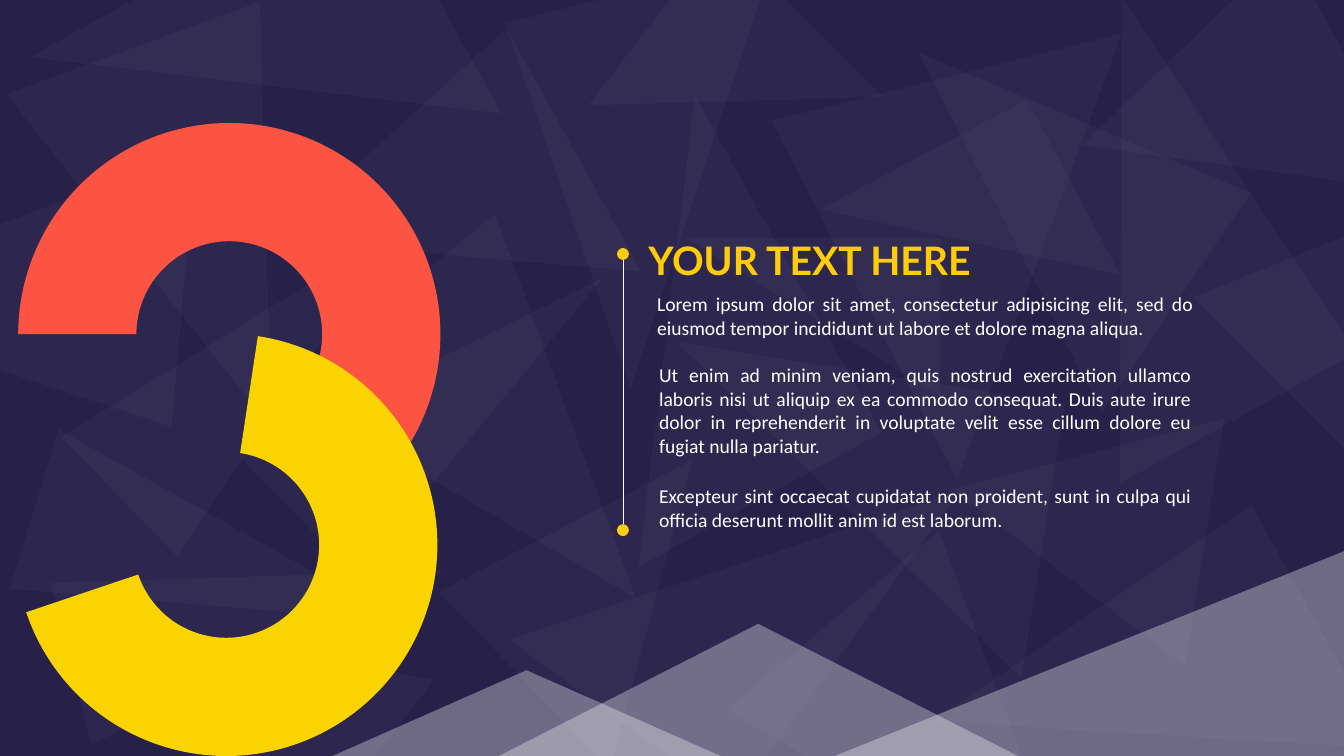
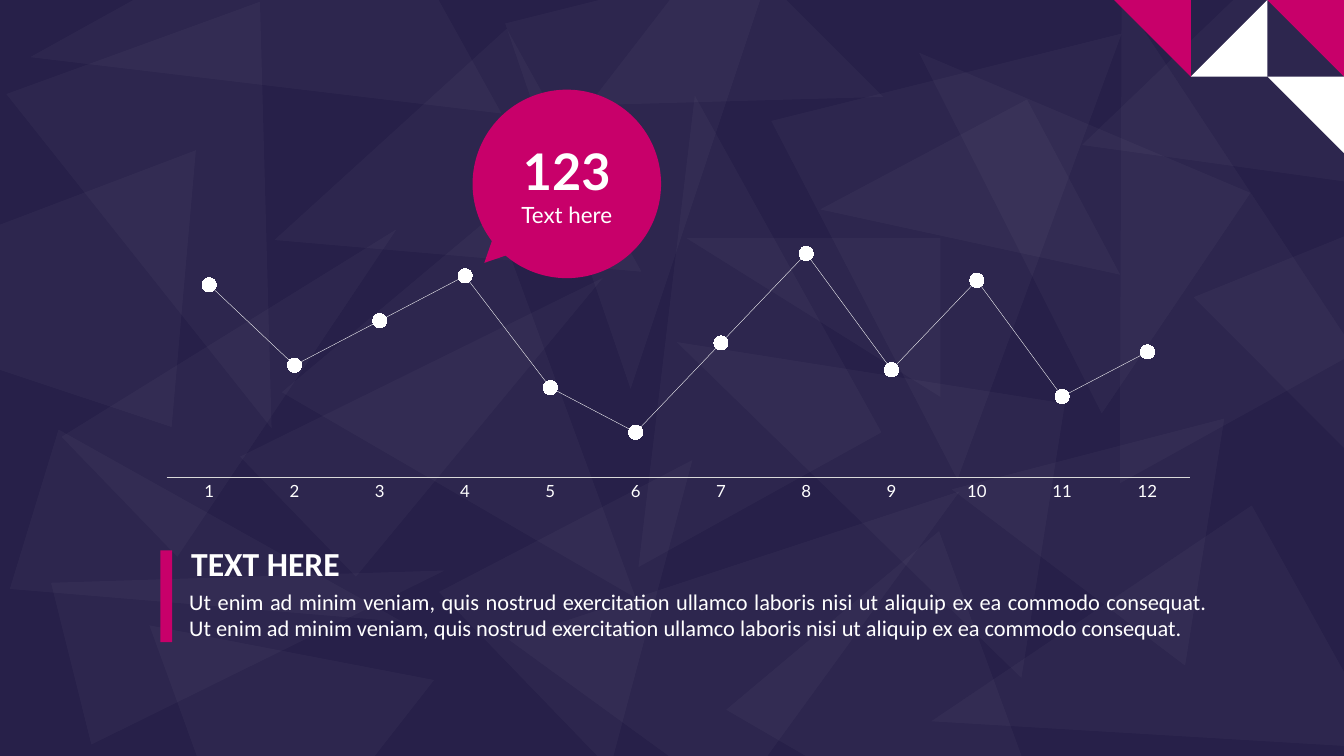
"""Build a two-slide deck: a section opener with a large 3 and a line chart with a callout."""
from lxml import etree
from pptx import Presentation
from pptx.chart.data import CategoryChartData
from pptx.dml.color import RGBColor
from pptx.enum.chart import XL_CHART_TYPE, XL_MARKER_STYLE, XL_TICK_MARK
from pptx.enum.shapes import MSO_CONNECTOR, MSO_SHAPE
from pptx.enum.text import MSO_ANCHOR, PP_ALIGN
from pptx.oxml.ns import qn
from pptx.util import Cm, Pt

TRIANGLE = MSO_SHAPE.ISOSCELES_TRIANGLE
CORNER = MSO_SHAPE.RIGHT_TRIANGLE
ARC = MSO_SHAPE.BLOCK_ARC
OVAL = MSO_SHAPE.OVAL
BAR = MSO_SHAPE.RECTANGLE
STRAIGHT = MSO_CONNECTOR.STRAIGHT
LINE_CHART = XL_CHART_TYPE.LINE_MARKERS
CIRCLE = XL_MARKER_STYLE.CIRCLE
NO_TICKS = XL_TICK_MARK.NONE
MIDDLE = MSO_ANCHOR.MIDDLE
LEFT, CENTER, JUSTIFY = PP_ALIGN.LEFT, PP_ALIGN.CENTER, PP_ALIGN.JUSTIFY

NAVY, WHITE, GREY = "272049", "FFFFFF", "D9D9D9"
RED, YELLOW, AMBER, PINK = "FB5442", "FAD302", "FFCC0B", "C8006A"
WIDTH, HEIGHT = 33.87, 19.05
SHARD_OPACITY, PEAK_OPACITY = 3, 33
WIDE_INSETS, TIGHT_INSETS = (0.25, 0.13), (0.2, 0.1)

SECTION_TITLE = {"name": "Lato", "size": Pt(28), "bold": True}
SECTION_BODY = {"name": "Calibri", "size": Pt(14)}
CHART_TITLE = {"name": "Calibri", "size": Pt(24), "bold": True}
CHART_BODY = {"name": "Calibri", "size": Pt(16)}
CALLOUT_NUMBER = {"name": "Lato", "size": Pt(36), "bold": True}
CALLOUT_LABEL = {"name": "Lato", "size": Pt(16), "bold": False}
AXIS_LABEL = {"name": "Lato", "size": Pt(12)}


def add_form(page, kind, frame, color, opacity=100, angle=0, adjustments=()):
    """Add a flat filled shape; frame is left, top, width and height in cm."""
    form = page.shapes.add_shape(kind, *map(Cm, frame))
    form.shadow.inherit = False
    form.rotation = angle
    for index, value in enumerate(adjustments):
        form.adjustments[index] = value
    form.fill.solid()
    form.fill.fore_color.rgb = RGBColor.from_string(color)
    form.line.fill.background()
    if opacity < 100:
        tint = form.element.find(".//" + qn("a:srgbClr"))
        etree.SubElement(tint, qn("a:alpha"), val=str(opacity * 1000))
    return form


def write_text(holder, lines, color, align, wrap=False, after=0, insets=WIDE_INSETS):
    """Write (text, format) lines into a shape, one paragraph each."""
    frame = holder.text_frame
    frame.word_wrap = wrap
    frame.margin_left = frame.margin_right = Cm(insets[0])
    frame.margin_top = frame.margin_bottom = Cm(insets[1])
    for index, (text, style) in enumerate(lines):
        para = frame.paragraphs[0] if index == 0 else frame.add_paragraph()
        para.alignment = align
        para.space_after = Pt(after)
        span = para.add_run()
        span.text = text
        span.font.color.rgb = RGBColor.from_string(color)
        for name, value in style.items():
            setattr(span.font, name, value)


deck = Presentation()
deck.slide_width, deck.slide_height = Cm(WIDTH), Cm(HEIGHT)
layout = deck.slide_layouts[6]
for placeholder in list(layout.placeholders):
    layout.shapes.element.remove(placeholder.element)
layout.background.fill.solid()
layout.background.fill.fore_color.rgb = RGBColor.from_string(NAVY)
section_page = deck.slides.add_slide(layout)
chart_page = deck.slides.add_slide(layout)

# Each apex position along the base owns its shards: size, left, top, angle.
slim, broad = (4.2, 9.7), (7, 9.7)
left_edge, left_third, centre, near_centre = 0, 0.33, 0.5, 0.55
right_third, near_right, right_edge = 0.74, 0.88, 1
shards_by_apex = {
    left_edge: [((5.9, 5), 21.5, 3.6, 152)],
    left_third: [((6.2, 6.9), 12.6, 11.3, 46), (broad, -3.7, 2, 275)],
    centre: [(slim, 3.4, 9.4, 107), (slim, 4.4, 10.7, 76), (slim, 4.4, 4.3, 46),
             (broad, 9.4, 6.5, 140), (broad, 20.6, 14.5, 140),
             ((6.8, 10.2), 1.7, 0.9, 160), ((8.2, 9.7), 31.6, 5.6, 158)],
    near_centre: [((6.3, 6.5), 24, 9.9, 279), ((7.4, 6.5), 2.4, 14.8, 308)],
    right_third: [(slim, 8.9, 4.8, 46), ((9.1, 9.9), 20.5, 1.8, 166),
                  ((7, 7.7), 7.6, 1.8, 241), ((7, 6.9), 27.6, 0, 241),
                  ((6.7, 8.9), 22.6, 0.7, 304)],
    near_right: [(broad, 13.8, -0.4, 166), (broad, 25.5, 13.3, 241),
                 ((6.8, 10.7), 25.2, 0.5, 331), ((5.8, 5.4), 15.4, -0.4, 225)],
    right_edge: [(broad, 15, 9.4, 36), (broad, 13.3, 3.5, 331), (broad, 3.2, -2.7, 241),
                 ((7, 9.9), 17.9, 7.9, 279), ((4, 6.4), 18.5, 4.8, 270)],
}
shard_forms = [
    add_form(section_page, TRIANGLE, (left, top, *size), WHITE, SHARD_OPACITY, angle, [apex])
    for apex, shards in shards_by_apex.items()
    for size, left, top, angle in shards
]
for form in shard_forms:
    layout.shapes.element.append(form.element)

ring = 10.64
upper_arc, lower_arc = (108, 21.07, 0.28), (101.94, 31.61, 0.28)
for left, top, color, angle, sweep in [(0.46, 3.1, RED, 0, upper_arc),
                                       (0.38, HEIGHT - ring, YELLOW, 108.7, lower_arc)]:
    add_form(section_page, ARC, (left, top, ring, ring), color, angle=angle, adjustments=sweep)

title = section_page.shapes.add_textbox(Cm(16.08), Cm(5.82), Cm(8.64), Cm(1.45))
write_text(title, [("YOUR TEXT HERE", SECTION_TITLE)], AMBER, CENTER)

passages = [
    (7.26, 1.37, TIGHT_INSETS, "Lorem ipsum dolor sit amet, consectetur adipisicing elit, sed do "
     "eiusmod tempor incididunt ut labore et dolore magna aliqua."),
    (9.02, 2.64, WIDE_INSETS, "Ut enim ad minim veniam, quis nostrud exercitation ullamco laboris "
     "nisi ut aliquip ex ea commodo consequat. Duis aute irure dolor in reprehenderit in "
     "voluptate velit esse cillum dolore eu fugiat nulla pariatur."),
    (12.07, 1.45, WIDE_INSETS, "Excepteur sint occaecat cupidatat non proident, sunt in culpa qui "
     "officia deserunt mollit anim id est laborum."),
]
for top, height, insets, text in passages:
    box = section_page.shapes.add_textbox(Cm(16.36), Cm(top), Cm(13.92), Cm(height))
    write_text(box, [(text, SECTION_BODY)], WHITE, JUSTIFY, True, 6, insets)

rule_x, rule_top, rule_bottom, dot = 15.7, 6.25, 13.21, 0.3
rule = section_page.shapes.add_connector(
    STRAIGHT, Cm(rule_x), Cm(rule_top), Cm(rule_x), Cm(rule_bottom))
rule.line.color.rgb = RGBColor.from_string(WHITE)
rule.line.width = Pt(0.5)
etree.SubElement(rule.element.spPr, qn("a:effectLst"))
for top in (rule_top, rule_bottom):
    add_form(section_page, OVAL, (rule_x - dot / 2, top, dot, dot), AMBER)

last_peak = 12.83
for left, width, height, apex in [(8.38, 9.78, 2.16, centre), (12.57, 13.08, 3.33, centre),
                                  (WIDTH - last_peak, last_peak, 5.16, right_edge)]:
    add_form(section_page, TRIANGLE, (left, HEIGHT - height, width, height), WHITE,
             PEAK_OPACITY, adjustments=[apex])

text_left = 4.57
sentence = ("Ut enim ad minim veniam, quis nostrud exercitation ullamco laboris nisi ut aliquip "
            "ex ea commodo consequat.")
body = chart_page.shapes.add_textbox(Cm(text_left), Cm(14.71), Cm(26.06), Cm(1.55))
write_text(body, [(f"{sentence} {sentence}", CHART_BODY)], WHITE, JUSTIFY, True, 6, TIGHT_INSETS)

values = (86, 50, 70, 90, 40, 20, 60, 100, 48, 88, 36, 56)
chart_data = CategoryChartData()
chart_data.categories = [str(number) for number in range(1, len(values) + 1)]
chart_data.add_series("Series 1", values)
chart = chart_page.shapes.add_chart(
    LINE_CHART, Cm(3.66), Cm(5.11), Cm(26.87), Cm(7.67), chart_data).chart
chart.has_legend = False
chart.has_title = False
chart.font.color.rgb = RGBColor.from_string(WHITE)
for name, value in AXIS_LABEL.items():
    setattr(chart.font, name, value)
value_format = {"visible": False, "has_major_gridlines": False, "major_unit": 40,
                "minimum_scale": 0, "maximum_scale": 120}
for name, value in value_format.items():
    setattr(chart.value_axis, name, value)
chart.category_axis.major_tick_mark = NO_TICKS
plot = chart.plots[0]
plot.vary_by_categories = False
series = plot.series[0]
series.smooth = False
for stroke, color, weight in [(chart.category_axis.format.line, GREY, 0.75),
                              (series.format.line, WHITE, 0.25)]:
    stroke.color.rgb = RGBColor.from_string(color)
    stroke.width = Pt(weight)
marker = series.marker
marker.style = CIRCLE
marker.size = 10
marker.format.fill.solid()
marker.format.fill.fore_color.rgb = RGBColor.from_string(WHITE)
marker.format.line.fill.background()

bubble_size = 4.75
add_form(chart_page, TRIANGLE, (12.09, 5.89, 0.84, 0.86), PINK, angle=225.2)
bubble = add_form(chart_page, OVAL, (11.91, 2.26, bubble_size, bubble_size), PINK)
write_text(bubble, [("123", CALLOUT_NUMBER), ("Text here", CALLOUT_LABEL)], WHITE, CENTER)
bubble.text_frame.vertical_anchor = MIDDLE

heading = chart_page.shapes.add_textbox(Cm(text_left), Cm(13.56), Cm(4.29), Cm(1.27))
write_text(heading, [("TEXT HERE", CHART_TITLE)], WHITE, LEFT)
add_form(chart_page, BAR, (4.04, 13.87, 0.3, 2.31), PINK)

tile = 1.93
top_right, bottom_right = 180, 270
for columns_from_right, row, right_angle, color in [
        (1, 0, top_right, PINK), (2, 0, bottom_right, WHITE),
        (1, 1, top_right, WHITE), (3, 0, top_right, PINK)]:
    frame = (WIDTH - columns_from_right * tile, row * tile, tile, tile)
    add_form(chart_page, CORNER, frame, color, angle=right_angle)

deck.save("out.pptx")
